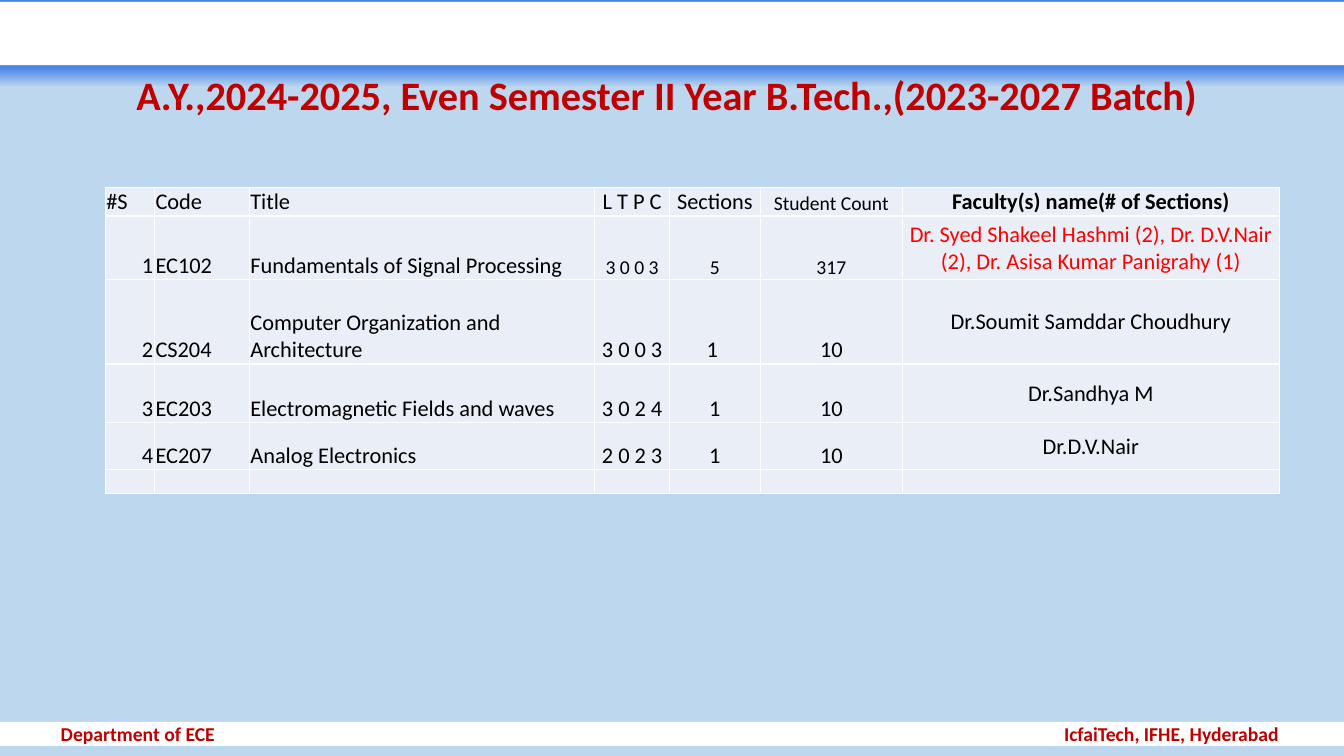
from dataclasses import dataclass

import lxml.etree
import pptx
import pptx.dml.color
import pptx.enum.shapes
import pptx.enum.text
import pptx.oxml
import pptx.oxml.ns
import pptx.util

Cm = pptx.util.Cm
Pt = pptx.util.Pt
Align = pptx.enum.text.PP_ALIGN
Anchor = pptx.enum.text.MSO_ANCHOR
qn = pptx.oxml.ns.qn

WHITE, BLACK, RED, CRIMSON = "FFFFFF", "000000", "FF0000", "C00000"
SKY, BLUE, PALE = "BDD7EE", "4A86E8", "EAEFF7"
SLIDE_WIDTH, SLIDE_HEIGHT = 33.87, 19.05


@dataclass(frozen=True)
class Band:
    top: float
    height: float
    fill: str
    fade_to: str = ""


@dataclass(frozen=True)
class Column:
    heading: str
    width: float
    align: Align
    heading_size: int = 16
    heading_align: Align = Align.CENTER


@dataclass(frozen=True)
class Course:
    values: tuple[str, ...]
    height: float
    count_size: int = 16
    faculty_color: str = BLACK


TOP_GLOW = Band(0, 2.2, BLUE, SKY)
TOP_BAND = Band(0.05, 1.59, WHITE)
FOOTER_BAND = Band(18.19, 0.61, WHITE)

COLUMNS = [
    Column("#S", 1.24, Align.RIGHT, heading_align=Align.LEFT),
    Column("Code", 2.39, Align.LEFT, heading_align=Align.LEFT),
    Column("Title", 8.71, Align.LEFT, heading_align=Align.LEFT),
    Column("L T P C", 1.88, Align.CENTER),
    Column("Sections", 2.29, Align.CENTER),
    Column("Student Count", 3.58, Align.CENTER, heading_size=14),
    Column("Faculty(s) name(# of Sections)", 9.5, Align.CENTER),
]
FACULTY = len(COLUMNS) - 1
COUNTS = range(3, FACULTY)

COURSES = [
    Course(("1", "EC102", "Fundamentals of Signal Processing", "3 0 0 3", "5", "317",
            "Dr. Syed Shakeel Hashmi (2), Dr. D.V.Nair (2), Dr. Asisa Kumar Panigrahy (1)"),
           1.6, 14, RED),
    Course(("2", "CS204", "Computer Organization and Architecture", "3 0 0 3", "1 ", "10",
            "Dr.Soumit Samddar Choudhury"), 2.13),
    Course(("3", "EC203", "Electromagnetic Fields and waves", "3 0 2 4", "1", "10",
            "Dr.Sandhya M"), 1.47),
    Course(("4", "EC207", "Analog Electronics", "2 0 2 3", "1", "10", "Dr.D.V.Nair"), 1.19),
]
HEADING_HEIGHT, EMPTY_HEIGHT = 0.71, 0.61


def rgb(value: str) -> pptx.dml.color.RGBColor:
    return pptx.dml.color.RGBColor.from_string(value)


def style(paragraph, size: float, color: str, bold: bool, align: Align) -> None:
    paragraph.alignment = align
    font = paragraph.font
    font.name, font.size, font.bold = "Calibri", Pt(size), bold
    font.color.rgb = rgb(color)


def draw_band(slide, band: Band):
    shape = slide.shapes.add_shape(
        pptx.enum.shapes.MSO_SHAPE.RECTANGLE,
        0, Cm(band.top), Cm(SLIDE_WIDTH), Cm(band.height))
    shape.shadow.inherit = False
    shape.line.fill.background()
    if band.fade_to:
        shape.fill.gradient()
        shape.fill.gradient_angle = 270
        start, end = shape.fill.gradient_stops
        start.color.rgb, start.position = rgb(band.fill), 0.78
        end.color.rgb, end.position = rgb(band.fade_to), 1
    else:
        shape.fill.solid()
        shape.fill.fore_color.rgb = rgb(band.fill)
    return shape


def write_footer(shape, left_text: str, right_text: str) -> None:
    frame = shape.text_frame
    frame.margin_left, frame.margin_right = Cm(1.53), Cm(1)
    frame.margin_top = frame.margin_bottom = 0
    frame.vertical_anchor = Anchor.MIDDLE
    frame.word_wrap = True
    paragraph = frame.paragraphs[0]
    paragraph.text = f"{left_text}\t{right_text}"
    tabs = lxml.etree.SubElement(paragraph._p.get_or_add_pPr(), qn("a:tabLst"))
    lxml.etree.SubElement(tabs, qn("a:tab"), pos=str(int(Cm(30.7))), algn="r")
    style(paragraph, 14, CRIMSON, True, Align.LEFT)


def format_cell(cell) -> None:
    cell.margin_left = cell.margin_right = cell.margin_top = Cm(0.03)
    cell.margin_bottom = 0
    properties = cell._tc.get_or_add_tcPr()
    for side in ("lnL", "lnR", "lnT", "lnB"):
        border = lxml.etree.SubElement(properties, qn(f"a:{side}"), w=str(int(Pt(1))))
        fill = lxml.etree.SubElement(border, qn("a:solidFill"))
        lxml.etree.SubElement(fill, qn("a:srgbClr"), val=WHITE)
    cell.fill.solid()
    cell.fill.fore_color.rgb = rgb(PALE)


def write_cell(cell, text: str, size: int, align: Align, color: str = BLACK,
               bold: bool = False, anchor: Anchor = Anchor.BOTTOM) -> None:
    cell.text = text
    cell.vertical_anchor = anchor
    style(cell.text_frame.paragraphs[0], size, color, bold, align)


def draw_courses(slide) -> None:
    heights = [HEADING_HEIGHT, *(course.height for course in COURSES), EMPTY_HEIGHT]
    width = sum(column.width for column in COLUMNS)
    table = slide.shapes.add_table(
        len(heights), len(COLUMNS), Cm(2.65), Cm(4.72), Cm(width), Cm(sum(heights))).table
    table.first_row = table.horz_banding = False
    for row, height in zip(table.rows, heights):
        row.height = Cm(height)
    for cell in table.iter_cells():
        format_cell(cell)
    for index, column in enumerate(COLUMNS):
        table.columns[index].width = Cm(column.width)
        is_faculty = index == FACULTY
        write_cell(table.cell(0, index), column.heading, column.heading_size,
                   column.heading_align, bold=is_faculty)
        for number, course in enumerate(COURSES, start=1):
            write_cell(table.cell(number, index), course.values[index],
                       course.count_size if index in COUNTS else 16, column.align,
                       course.faculty_color if is_faculty else BLACK,
                       anchor=Anchor.MIDDLE if is_faculty else Anchor.BOTTOM)
        empty = table.cell(len(heights) - 1, index).text_frame.paragraphs[0]
        lxml.etree.SubElement(empty._p, qn("a:endParaRPr"), sz="1000")


def write_title(slide) -> None:
    title = slide.shapes.title
    title.left, title.top = Cm(0.25), Cm(1.78)
    title.width, title.height = Cm(33.35), Cm(1.37)
    frame = title.text_frame
    frame.text = "A.Y.,2024-2025, Even Semester II Year B.Tech.,(2023-2027 Batch) "
    frame.vertical_anchor = Anchor.MIDDLE
    frame.word_wrap = True
    frame.paragraphs[0].line_spacing = 0.9
    style(frame.paragraphs[0], 28.8, CRIMSON, True, Align.CENTER)
    slide.shapes._spTree.append(title._element)


def main() -> None:
    deck = pptx.Presentation()
    deck.slide_width, deck.slide_height = Cm(SLIDE_WIDTH), Cm(SLIDE_HEIGHT)
    slide = deck.slides.add_slide(deck.slide_layouts[5])
    slide.background.fill.solid()
    slide.background.fill.fore_color.rgb = rgb(SKY)
    draw_band(slide, TOP_GLOW)
    draw_band(slide, TOP_BAND)
    write_title(slide)
    write_footer(draw_band(slide, FOOTER_BAND),
                 "Department of ECE", "IcfaiTech, IFHE, Hyderabad")
    draw_courses(slide)
    deck.save("out.pptx")


if __name__ == "__main__":
    main()
